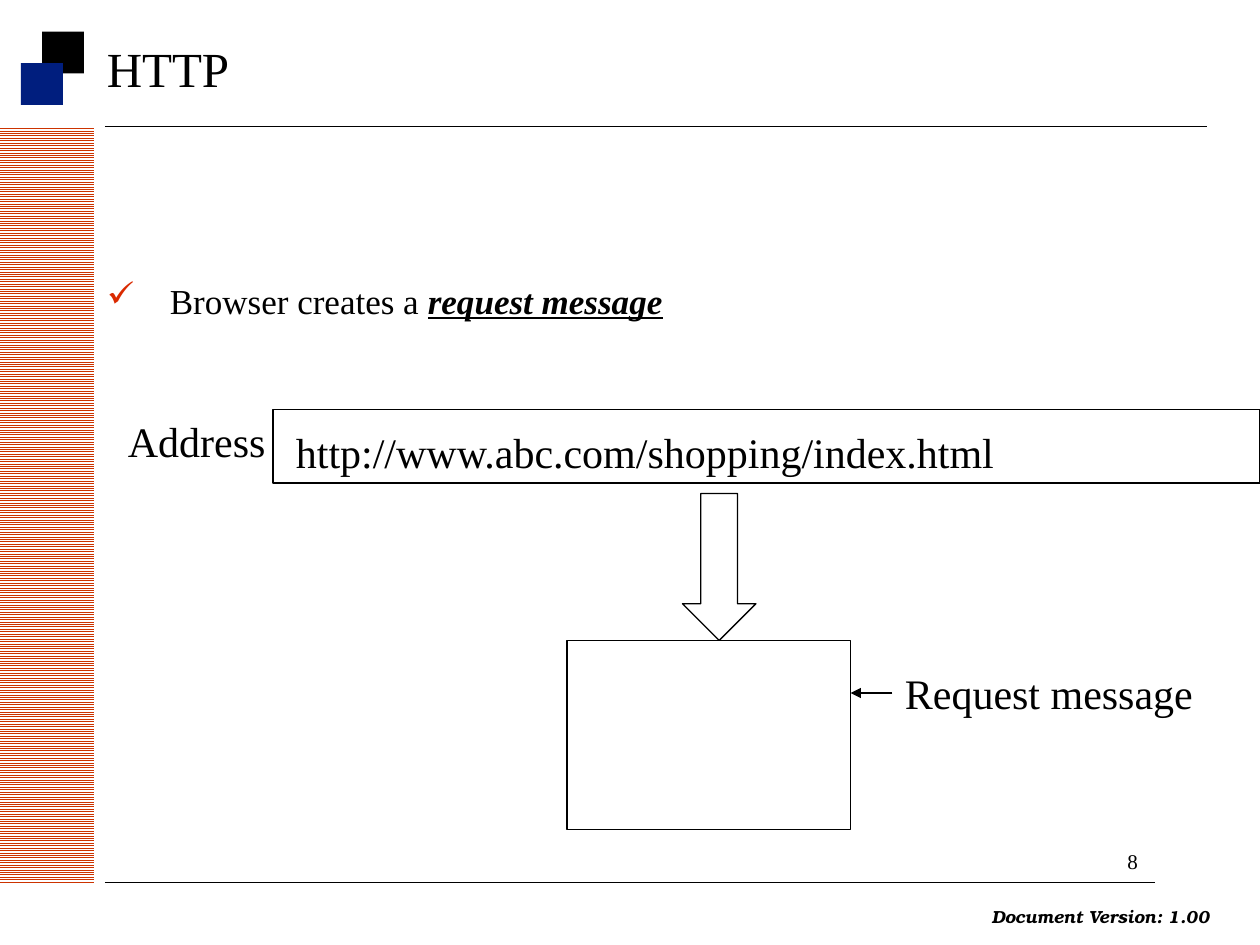
from dataclasses import dataclass
from typing import Optional

from lxml import etree
from pptx import Presentation
from pptx import util as u
from pptx.dml import color
from pptx.enum import dml, shapes, text
from pptx.oxml import ns

# The slide is a grid of 120 columns by 90 rows, twelve to the inch
COLUMNS, ROWS = 120, 90
CELL = u.Inches(10) // COLUMNS
COLORS = {"ink": "000000", "navy": "001E7E", "stripe": "CC3300",
          "paper": "FFFFFF", "check": "DA2A00"}
SERIF, BOOK = "Times New Roman", "TeX Gyre Bonum"


@dataclass
class Area:
    left: float
    top: float
    width: float
    height: float


@dataclass
class Label:
    area: Area
    words: str
    size: float = 24
    font: str = SERIF
    bold: Optional[bool] = None
    italic: Optional[bool] = None
    anchor: text.MSO_ANCHOR = text.MSO_ANCHOR.TOP
    wrap: bool = True


@dataclass
class Block:
    area: Area
    fill: Optional[str] = None
    outline: Optional[str] = None
    kind: shapes.MSO_SHAPE = shapes.MSO_SHAPE.RECTANGLE


@dataclass
class Rule:
    start: tuple[float, float]
    end: tuple[float, float]
    weight: float
    arrow: bool = False


def cells(count: float) -> int:
    return round(count * CELL)


def place(area: Area) -> tuple[int, int, int, int]:
    return cells(area.left), cells(area.top), cells(area.width), cells(area.height)


def rgb(name: str) -> color.RGBColor:
    return color.RGBColor.from_string(COLORS[name])


def style(font, label: Label) -> None:
    font.name, font.size = label.font, u.Pt(label.size)
    font.bold, font.italic = label.bold, label.italic
    font.color.rgb = rgb("ink")


def draw_label(page, label: Label):
    box = page.shapes.add_textbox(*place(label.area))
    frame = box.text_frame
    frame.word_wrap, frame.vertical_anchor = label.wrap, label.anchor
    para = frame.paragraphs[0]
    para.add_run().text = label.words
    style(para.font, label)
    return para


def draw_block(page, block: Block):
    shape = page.shapes.add_shape(block.kind, *place(block.area))
    shape.shadow.inherit = False
    if block.fill:
        shape.fill.solid()
        shape.fill.fore_color.rgb = rgb(block.fill)
    else:
        shape.fill.background()
    if block.outline:
        shape.line.color.rgb = rgb(block.outline)
        shape.line.width = u.Pt(0.75)
    else:
        shape.line.fill.background()
    return shape


def draw_rule(page, rule: Rule) -> None:
    points = [cells(value) for value in (*rule.start, *rule.end)]
    line = page.shapes.add_connector(shapes.MSO_CONNECTOR.STRAIGHT, *points)
    line.line.color.rgb = rgb("ink")
    line.line.width = u.Pt(rule.weight)
    if rule.arrow:
        etree.SubElement(line.line._get_or_add_ln(), ns.qn("a:tailEnd"), type="triangle")
    etree.SubElement(line._element.spPr, ns.qn("a:effectLst"))


def draw_stripes(page) -> None:
    band = draw_block(page, Block(Area(-31.5, 43.5, 72, 9)))
    band.rotation = 270
    band.fill.patterned()
    band.fill.pattern = dml.MSO_PATTERN.LIGHT_HORIZONTAL
    band.fill.fore_color.rgb = rgb("stripe")
    band.fill.back_color.rgb = rgb("paper")


def draw_bullet(page) -> None:
    label = Label(Area(9, 26, 102, 9), "Browser creates a ", size=20)
    para = draw_label(page, label)
    para.alignment = text.PP_ALIGN.JUSTIFY
    para.space_after = u.Pt(0.3 * label.size)
    properties = para._p.get_or_add_pPr()
    properties.set("marL", str(cells(6)))
    properties.set("indent", str(cells(-6)))
    # Bullet elements come before the default run properties
    mark_color = etree.Element(ns.qn("a:buClr"))
    etree.SubElement(mark_color, ns.qn("a:srgbClr"), val=COLORS["check"])
    mark = etree.Element(ns.qn("a:buChar"), char="✓")
    defaults = properties.find(ns.qn("a:defRPr"))
    defaults.addprevious(mark_color)
    defaults.addprevious(mark)
    span = para.add_run()
    span.text = "request message"
    span.font.bold = span.font.italic = span.font.underline = True


FRAME_RULES = [Rule((10, 12), (115, 12), 0.25), Rule((10, 84), (110, 84), 0.25)]
CORNER_SQUARES = [Block(Area(4, 3, 4, 4), fill="ink"),
                  Block(Area(2, 6, 4, 4), fill="navy")]
FRAME_LABELS = [
    Label(Area(93.25, 85.7, 23.25, 3.2), "Document Version: 1.00", 10, BOOK,
          bold=True, italic=True, wrap=False),
    Label(Area(106.2, 80.2, 4.8, 3.6), "8", 12, wrap=False),
    Label(Area(9, 2, 108, 9), "HTTP", 28, anchor=text.MSO_ANCHOR.MIDDLE),
]
DIAGRAM_BLOCKS = [
    Block(Area(26, 39, 94, 7), outline="ink"),
    Block(Area(54, 61, 27, 18), outline="ink"),
    Block(Area(65, 47, 7, 14), outline="ink", kind=shapes.MSO_SHAPE.DOWN_ARROW),
]
DIAGRAM_LABELS = [
    Label(Area(11, 39, 17, 6), "Address"),
    Label(Area(27, 40, 92, 6), "http://www.abc.com/shopping/index.html"),
    Label(Area(85, 63, 32, 6), "Request message"),
]


def main() -> None:
    deck = Presentation()
    deck.slide_width, deck.slide_height = COLUMNS * CELL, ROWS * CELL
    page = deck.slides.add_slide(deck.slide_layouts[6])

    # Frame: striped band, corner squares, rules, title and footer
    draw_stripes(page)
    for rule in FRAME_RULES:
        draw_rule(page, rule)
    for square in CORNER_SQUARES:
        draw_block(page, square)
    for label in FRAME_LABELS:
        draw_label(page, label)

    # Content: bullet, address bar and request message
    draw_bullet(page)
    for block in DIAGRAM_BLOCKS:
        draw_block(page, block)
    for label in DIAGRAM_LABELS:
        draw_label(page, label)
    draw_rule(page, Rule((85, 66), (81, 66), 0.75, arrow=True))

    deck.save("out.pptx")


if __name__ == "__main__":
    main()
